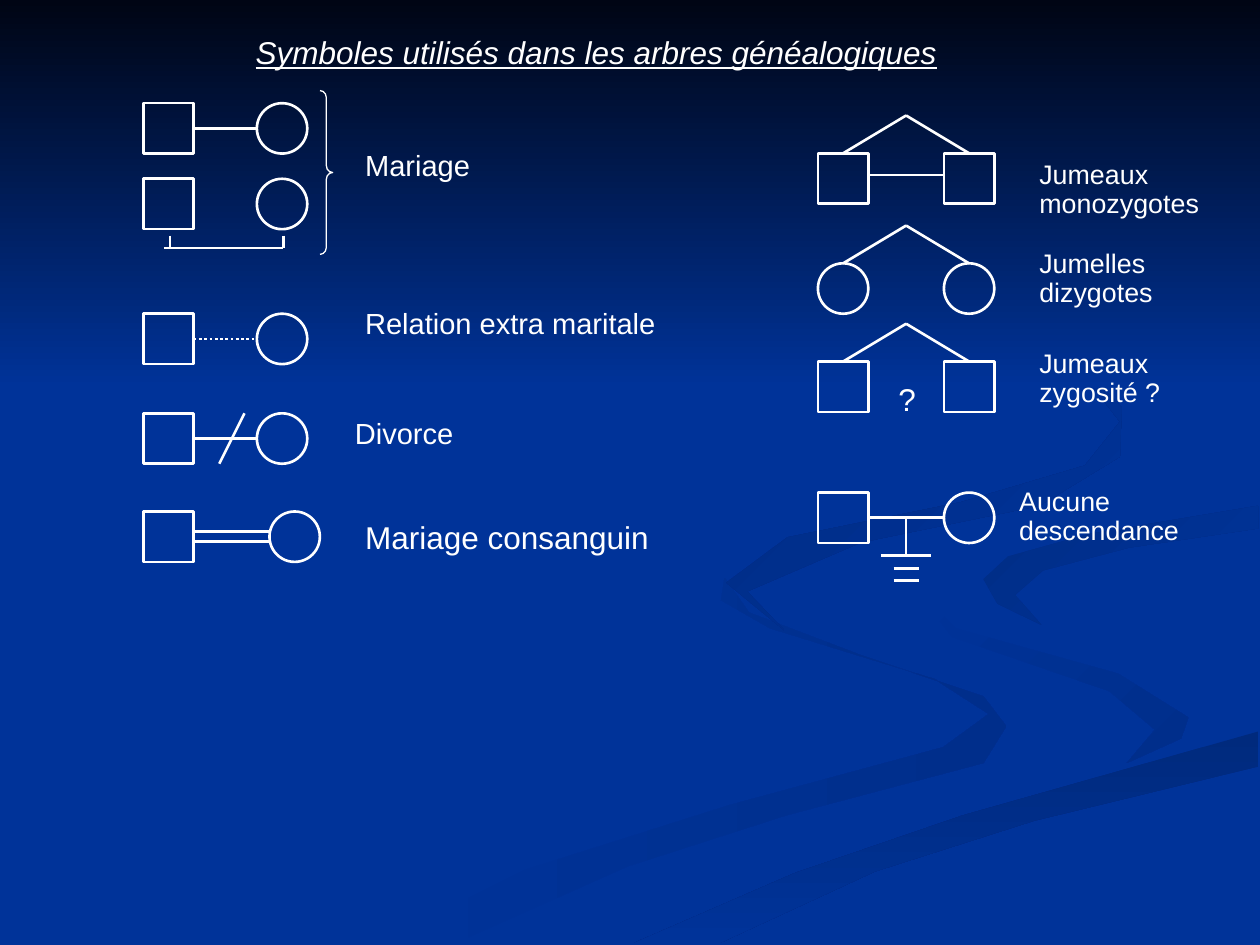
from lxml.etree import SubElement
from pptx import Presentation
from pptx.dml.color import RGBColor as RGB
from pptx.enum.dml import MSO_LINE as Dash
from pptx.enum.shapes import MSO_CONNECTOR as Link, MSO_SHAPE as Shape
from pptx.enum.text import MSO_ANCHOR as Anchor
from pptx.oxml.ns import qn
from pptx.util import Pt

HUES = {"ink": "FFFFFF", "blue": "003399", "night": "000514", "dim": "002E8B",
        "deep": "002A7D", "mid": "002D86", "dark": "002B82"}
SIDE = 28.8
HALF = SIDE / 2
MAN, WOMAN = Shape.RECTANGLE, Shape.OVAL

RIBBONS = [
    ("blue", "dim", 0, [
        (562, 398), (491, 374), (428, 350), (414, 330), (412, 343), (440, 359), (534, 388),
        (565, 408), (539, 427), (417, 460), (300, 497), (216, 539), (260, 539), (359, 495),
        (449, 466), (562, 436), (575, 415)]),
    ("blue", "dim", 45, [
        (679, 410), (639, 385), (546, 359), (521, 334), (544, 364), (634, 395), (660, 417),
        (644, 436), (675, 422)]),
    ("deep", "blue", 90, [
        (362, 539), (411, 539), (500, 498), (591, 469), (719, 438), (719, 418), (550, 466),
        (454, 499)]),
    ("mid", "blue", 45, [
        (562, 331), (570, 345), (595, 357), (580, 340), (596, 326), (645, 313), (719, 302),
        (719, 289), (623, 305), (576, 318)]),
    ("dark", "blue", 45, [
        (492, 310), (594, 289), (640, 261), (641, 233), (607, 198), (549, 168), (609, 201),
        (640, 241), (620, 266), (549, 287), (450, 307), (415, 333), (448, 360), (427, 338)]),
]

WEST = [("Mariage", 82.8), ("Relation extra maritale", 173.5)]
EAST = [("Jumeaux monozygotes", 88.6), ("Jumelles dizygotes", 139.7),
        ("Jumeaux zygosité ?", 196.6)]


class Chart:
    """Draws family tree symbols on one slide in a single style."""

    def __init__(self, slide):
        self.slide = slide
        self.shapes = slide.shapes
        self.font = "Arial"
        self.wide = 1.5

    def hue(self, name):
        return RGB.from_string(HUES[name])

    def ground(self, name):
        fill = self.slide.background.fill
        fill.solid()
        fill.fore_color.rgb = self.hue(name)

    def shade(self, shape, names, turn):
        shape.shadow.inherit = False
        shape.line.fill.background()
        shape.fill.gradient()
        shape.fill.gradient_angle = -turn % 360
        for stop, name in zip(shape.fill.gradient_stops, names):
            stop.color.rgb = self.hue(name)

    def ribbon(self, first, last, turn, dots):
        pen = self.shapes.build_freeform(*map(Pt, dots[0]))
        pen.add_line_segments([(Pt(x), Pt(y)) for x, y in dots[1:]], close=True)
        self.shade(pen.convert_to_shape(), (first, last), turn)

    def sky(self, names, wide, high):
        shape = self.shapes.add_shape(Shape.RECTANGLE, 0, 0, Pt(wide), Pt(high))
        self.shade(shape, names, 90)

    def mark(self, kind, x, y, w=SIDE, h=SIDE, thick=None):
        shape = self.shapes.add_shape(kind, Pt(x), Pt(y), Pt(w), Pt(h))
        shape.shadow.inherit = False
        shape.fill.background()
        shape.line.color.rgb = self.hue("ink")
        shape.line.width = Pt(thick or self.wide)
        return shape

    def brace(self, x, y, w, h):
        shape = self.mark(Shape.RIGHT_BRACE, x, y, w, h, 0.75)
        shape.adjustments[0] = 0.55

    def line(self, x1, y1, x2, y2, start=None, site=0, dash=None):
        link = self.shapes.add_connector(Link.STRAIGHT, Pt(x1), Pt(y1), Pt(x2), Pt(y2))
        link.line.color.rgb = self.hue("ink")
        link.line.width = Pt(self.wide)
        if dash:
            link.line.dash_style = dash
        SubElement(link._element.spPr, qn("a:effectLst"))
        if start:
            link.begin_connect(start, site)

    def pair(self, kinds, x, y, step):
        return [self.mark(kind, x + i * step, y) for i, kind in enumerate(kinds)]

    def couple(self, x, y, step, dash=None):
        man, _ = self.pair((MAN, WOMAN), x, y, step)
        self.line(x + SIDE, y + HALF, x + step, y + HALF, man, 3, dash)

    def twins(self, kind, x, y, step):
        peak = x + HALF + step / 2
        for i, child in enumerate(self.pair((kind, kind), x, y, step)):
            self.line(x + HALF + i * step, y, peak, y - 21.6, child, 0)

    def text(self, words, x, y, w, size=18, space=1, title=False):
        frame = self.shapes.add_textbox(Pt(x), Pt(y), Pt(w), Pt(SIDE)).text_frame
        frame.word_wrap = True
        para = frame.paragraphs[0]
        para.text = words
        para.line_spacing = space
        font = para.font
        font.name, font.size = self.font, Pt(size)
        font.color.rgb = self.hue("ink")
        if title:
            frame.vertical_anchor = Anchor.MIDDLE
            font.italic = font.underline = True


def main():
    deck = Presentation()
    deck.slide_width, deck.slide_height = Pt(720), Pt(540)
    art = Chart(deck.slides.add_slide(deck.slide_layouts[6]))
    art.ground("blue")
    for ribbon in RIBBONS:
        art.ribbon(*ribbon)
    art.sky(("night", "blue"), 720, 221.8)

    left, right, near, far = 82, 467.4, 64.8, 72
    art.couple(left, 59, near)
    art.pair((MAN, WOMAN), left, 102.2, near)
    art.line(93.6, 141.8, 161.6, 141.8)
    for x in (97.2, 162):
        art.line(x, 134.6, x, 141.8)
    art.brace(182.9, 51.8, 7.2, 93.6)
    art.couple(left, 179.3, near, Dash.ROUND_DOT)
    art.couple(left, 236.2, near)
    art.line(139.7, 236.2, 125.3, 265)
    art.pair((MAN, WOMAN), left, 292.3, far)
    for y in (303.9, 309.6):
        art.line(left + SIDE, y, left + far, y)

    for kind, y in ((MAN, 87.6), (WOMAN, 150.5), (MAN, 206.6)):
        art.twins(kind, right, y, far)
    art.line(right + SIDE, 100, right + far, 100)
    art.couple(right, 281.5, far)
    stem = right + HALF + far / 2
    art.line(stem, 295.9, stem, 317.5)
    for i, half in enumerate((14.4, 7.2, 7.2)):
        y = 317.5 + 7.2 * i
        art.line(stem - half, y, stem + half, y)

    for words, y in WEST:
        art.text(words, 201.6, y, 204, 16.6, 0.9)
    art.text("Divorce", 195.8, 236.2, 91, 16.6, 0.9)
    art.text("Mariage consanguin", 201.6, 292.3, 210)
    for words, y in EAST:
        art.text(words, 586.8, y, 133, 15.3, 0.9)
    art.text("Aucune descendance", 575.3, 275.8, 133, 15.3, 0.9)
    art.text("?", 506.2, 213.8, 26)
    art.text("Symboles utilisés dans les arbres généalogiques", 139, 15.1, 420, title=True)
    deck.save("out.pptx")


if __name__ == "__main__":
    main()
